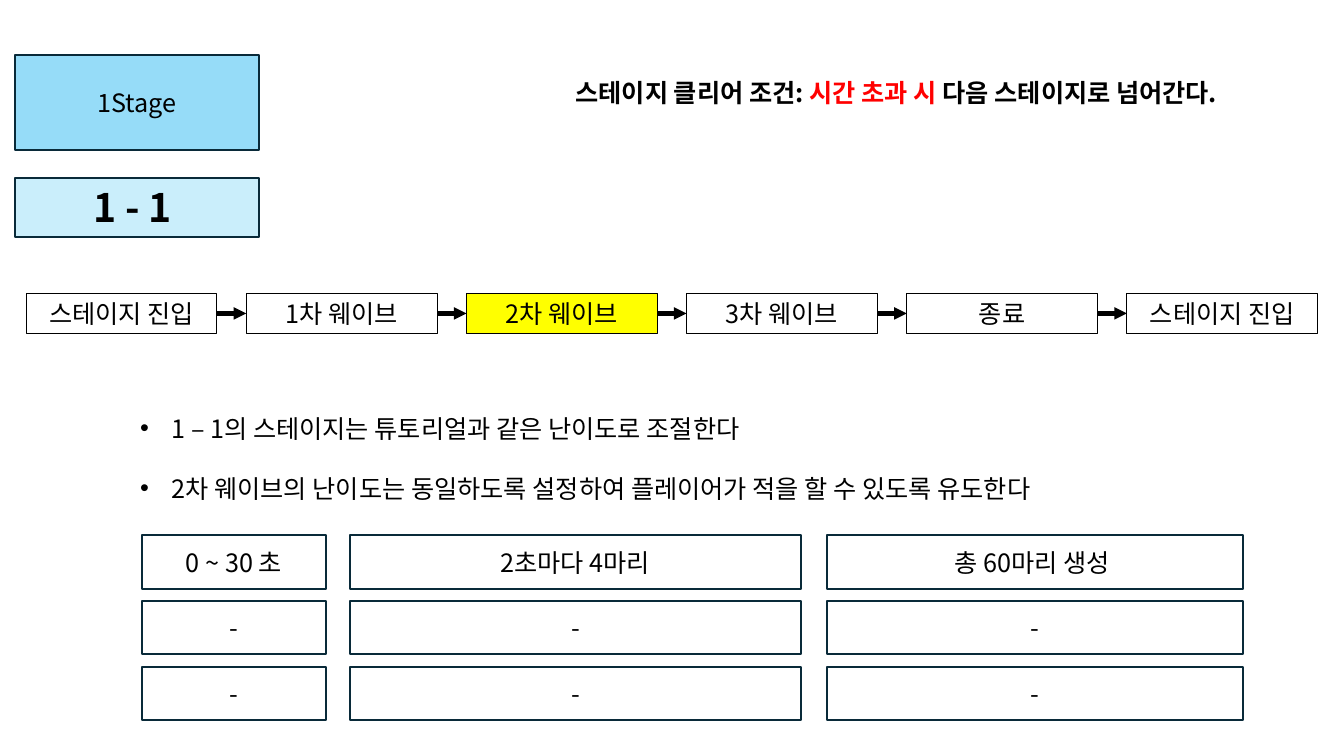
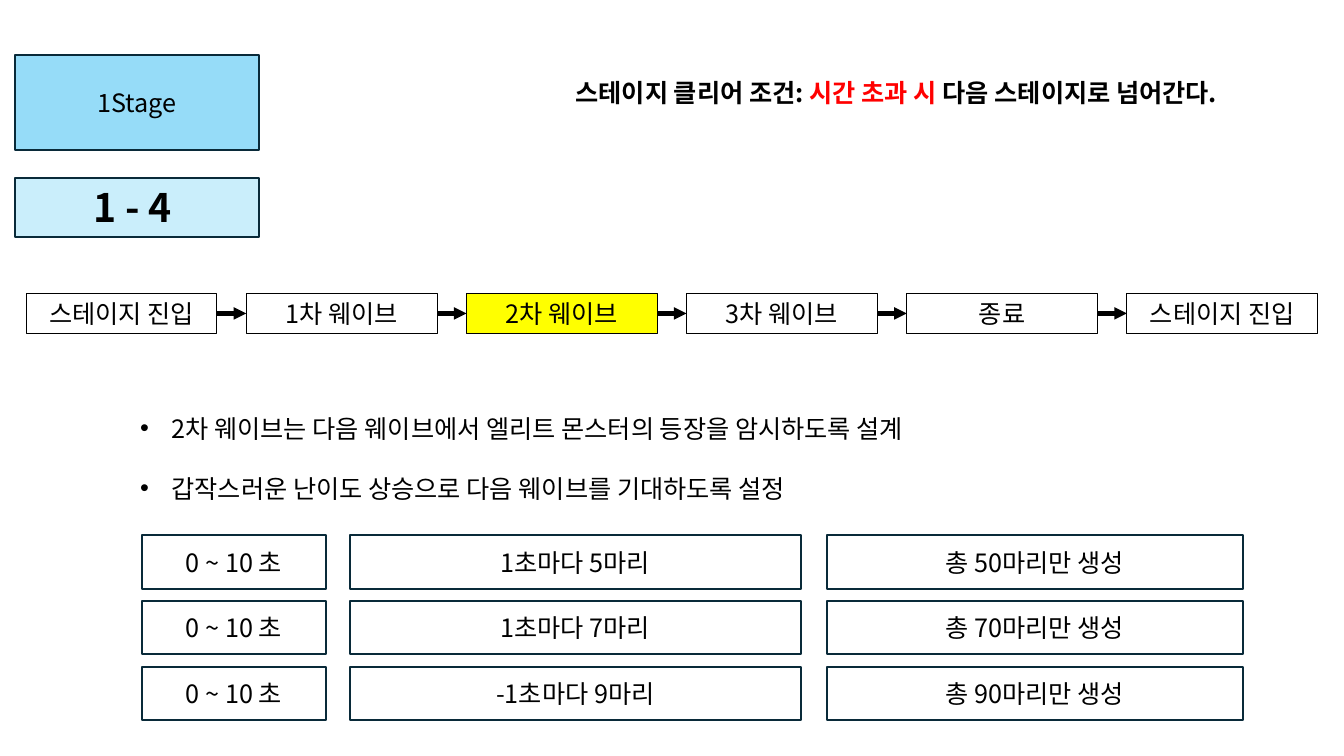
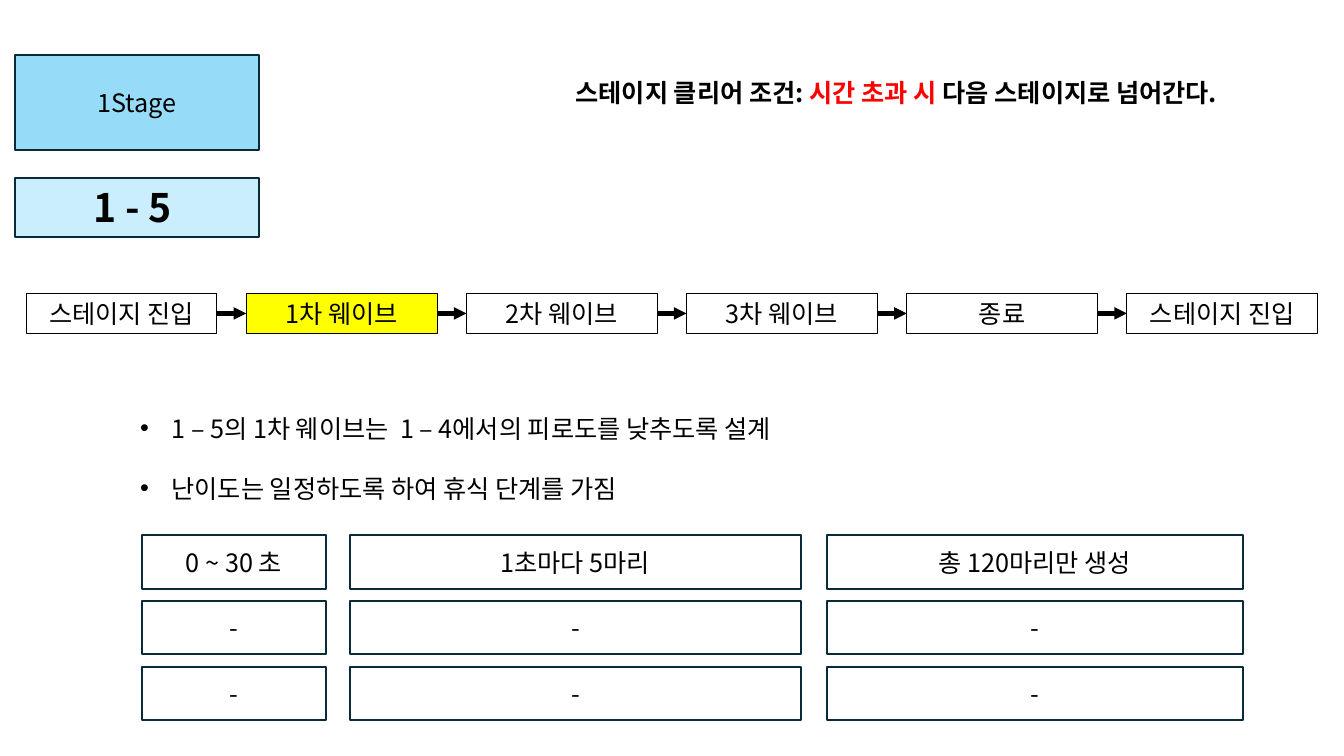
from dataclasses import dataclass
from itertools import pairwise

from lxml import etree
from pptx import Presentation
from pptx.dml.color import RGBColor
from pptx.enum import shapes, text
from pptx.oxml import ns
from pptx.util import Pt

FONT = "Noto Sans CJK KR"
BLACK = RGBColor(0x00, 0x00, 0x00)
RED = RGBColor(0xFF, 0x00, 0x00)
YELLOW = RGBColor(0xFF, 0xFF, 0x00)
NAVY = RGBColor(0x09, 0x2A, 0x39)
SKY = RGBColor(0x96, 0xDC, 0xF8)
PALE_SKY = RGBColor(0xCA, 0xEE, 0xFB)

# Flow of one stage
FLOW_STEPS = ("스테이지 진입", "1차 웨이브", "2차 웨이브", "3차 웨이브", "종료", "스테이지 진입")
FLOW_LEFT, FLOW_TOP, FLOW_WIDTH, FLOW_HEIGHT, FLOW_PITCH = 18.7, 209.5, 136.3, 28.8, 157.25

# Spawn grid: left and width of each column
SPAWN_COLUMNS = ((101.5, 131.3), (250, 322), (590.4, 297.6))
SPAWN_TOP, SPAWN_HEIGHT, SPAWN_PITCH = 382.3, 38.2, 47
EMPTY_ROW = ("-", "-", "-")


@dataclass(frozen=True)
class Box:
    left: float
    top: float
    width: float
    height: float

    def lengths(self) -> tuple:
        return Pt(self.left), Pt(self.top), Pt(self.width), Pt(self.height)


@dataclass(frozen=True)
class Stage:
    title: str
    active_step: int
    notes: tuple
    spawns: tuple


STAGES = (
    Stage(
        "1 - 1 ", 2,
        ("1 – 1의 스테이지는 튜토리얼과 같은 난이도로 조절한다",
         "2차 웨이브의 난이도는 동일하도록 설정하여 플레이어가 적을 할 수 있도록 유도한다"),
        (("0 ~ 30 초", "2초마다 4마리", "총 60마리 생성 "), EMPTY_ROW, EMPTY_ROW),
    ),
    Stage(
        "1 - 4 ", 2,
        ("2차 웨이브는 다음 웨이브에서 엘리트 몬스터의 등장을 암시하도록 설계",
         "갑작스러운 난이도 상승으로 다음 웨이브를 기대하도록 설정"),
        (("0 ~ 10 초", "1초마다 5마리", "총 50마리만 생성"),
         ("0 ~ 10 초", "1초마다 7마리", "총 70마리만 생성"),
         ("0 ~ 10 초", "-1초마다 9마리", "총 90마리만 생성")),
    ),
    Stage(
        "1 - 5 ", 1,
        ("1 – 5의 1차 웨이브는  1 – 4에서의 피로도를 낮추도록 설계",
         "난이도는 일정하도록 하여 휴식 단계를 가짐"),
        (("0 ~ 30 초", "1초마다 5마리", "총 120마리만 생성"), EMPTY_ROW, EMPTY_ROW),
    ),
)


def add_text(paragraph, content: str, *, size=18, color=BLACK, bold=False, align=None) -> None:
    """Append one formatted run to a paragraph."""
    if align is not None:
        paragraph.alignment = align
    run = paragraph.add_run()
    run.text = content
    font = run.font
    font.name, font.size, font.bold = FONT, Pt(size), bold
    font.color.rgb = color
    east_asian = etree.SubElement(run._r.get_or_add_rPr(), ns.qn("a:ea"))
    east_asian.set("typeface", FONT)


def format_box(shape, content: str, *, fill=None, line=NAVY, weight=1.5, **text_format) -> None:
    """Fill, outline and label a rectangle."""
    if fill is None:
        shape.fill.background()
    else:
        shape.fill.solid()
        shape.fill.fore_color.rgb = fill
    shape.line.color.rgb = line
    shape.line.width = Pt(weight)
    frame = shape.text_frame
    frame.word_wrap = True
    frame.auto_size = text.MSO_AUTO_SIZE.NONE
    frame.vertical_anchor = text.MSO_ANCHOR.MIDDLE
    add_text(frame.paragraphs[0], content, align=text.PP_ALIGN.CENTER, **text_format)


def add_box(slide, box: Box, content: str, **box_format):
    shape = slide.shapes.add_shape(shapes.MSO_SHAPE.RECTANGLE, *box.lengths())
    shape.shadow.inherit = False
    format_box(shape, content, **box_format)
    return shape


def add_text_box(slide, box: Box):
    frame = slide.shapes.add_textbox(*box.lengths()).text_frame
    frame.word_wrap = True
    return frame


def add_arrow(slide, start, end) -> None:
    """Join the right side of one box to the left side of the next."""
    arrow = slide.shapes.add_connector(shapes.MSO_CONNECTOR.STRAIGHT, 0, 0, 0, 0)
    arrow.begin_connect(start, 3)
    arrow.end_connect(end, 1)
    arrow.line.color.rgb = BLACK
    arrow.line.width = Pt(3)
    etree.SubElement(arrow.line._get_or_add_ln(), ns.qn("a:tailEnd")).set("type", "triangle")
    etree.SubElement(arrow._element.spPr, ns.qn("a:effectLst"))


def add_heading(slide, title: str) -> None:
    add_box(slide, Box(10.8, 39.6, 174.2, 67.7), "1Stage", fill=SKY)
    placeholder = slide.shapes.title
    placeholder.left, placeholder.top, placeholder.width, placeholder.height = Box(
        10.8, 127, 174.2, 42).lengths()
    format_box(placeholder, title, fill=PALE_SKY, size=28, bold=True)


def add_clear_condition(slide) -> None:
    frame = add_text_box(slide, Box(404, 52, 532, 28.8))
    frame.vertical_anchor = text.MSO_ANCHOR.MIDDLE
    paragraph = frame.paragraphs[0]
    for content, color in (("스테이지 클리어 조건: ", BLACK), ("시간 초과 시 ", RED),
                           ("다음 스테이지로 넘어간다.", BLACK)):
        add_text(paragraph, content, color=color, bold=True)


def add_flow(slide, active_step: int) -> None:
    steps = [
        add_box(slide, Box(FLOW_LEFT + index * FLOW_PITCH, FLOW_TOP, FLOW_WIDTH, FLOW_HEIGHT),
                label, fill=YELLOW if index == active_step else None, line=BLACK, weight=0.75)
        for index, label in enumerate(FLOW_STEPS)
    ]
    for start, end in pairwise(steps):
        add_arrow(slide, start, end)


def add_notes_list(slide, notes: tuple) -> None:
    frame = add_text_box(slide, Box(93, 270, 786, 93))
    for index, note in enumerate(notes):
        paragraph = frame.add_paragraph() if index else frame.paragraphs[0]
        paragraph.line_spacing = Pt(43)
        properties = paragraph._p.get_or_add_pPr()
        properties.set("marL", str(Pt(22.5)))
        properties.set("indent", str(-Pt(22.5)))
        etree.SubElement(properties, ns.qn("a:buFont")).set("typeface", "Arial")
        etree.SubElement(properties, ns.qn("a:buChar")).set("char", "•")
        add_text(paragraph, note)


def add_spawn_grid(slide, spawns: tuple) -> None:
    for row, cells in enumerate(spawns):
        for (left, width), content in zip(SPAWN_COLUMNS, cells):
            add_box(slide, Box(left, SPAWN_TOP + row * SPAWN_PITCH, width, SPAWN_HEIGHT), content)


def main() -> None:
    presentation = Presentation()
    presentation.slide_width, presentation.slide_height = Pt(960), Pt(540)
    title_only = presentation.slide_layouts[5]
    for stage in STAGES:
        slide = presentation.slides.add_slide(title_only)
        add_heading(slide, stage.title)
        add_clear_condition(slide)
        add_flow(slide, stage.active_step)
        add_notes_list(slide, stage.notes)
        add_spawn_grid(slide, stage.spawns)
    presentation.save("out.pptx")


if __name__ == "__main__":
    main()
